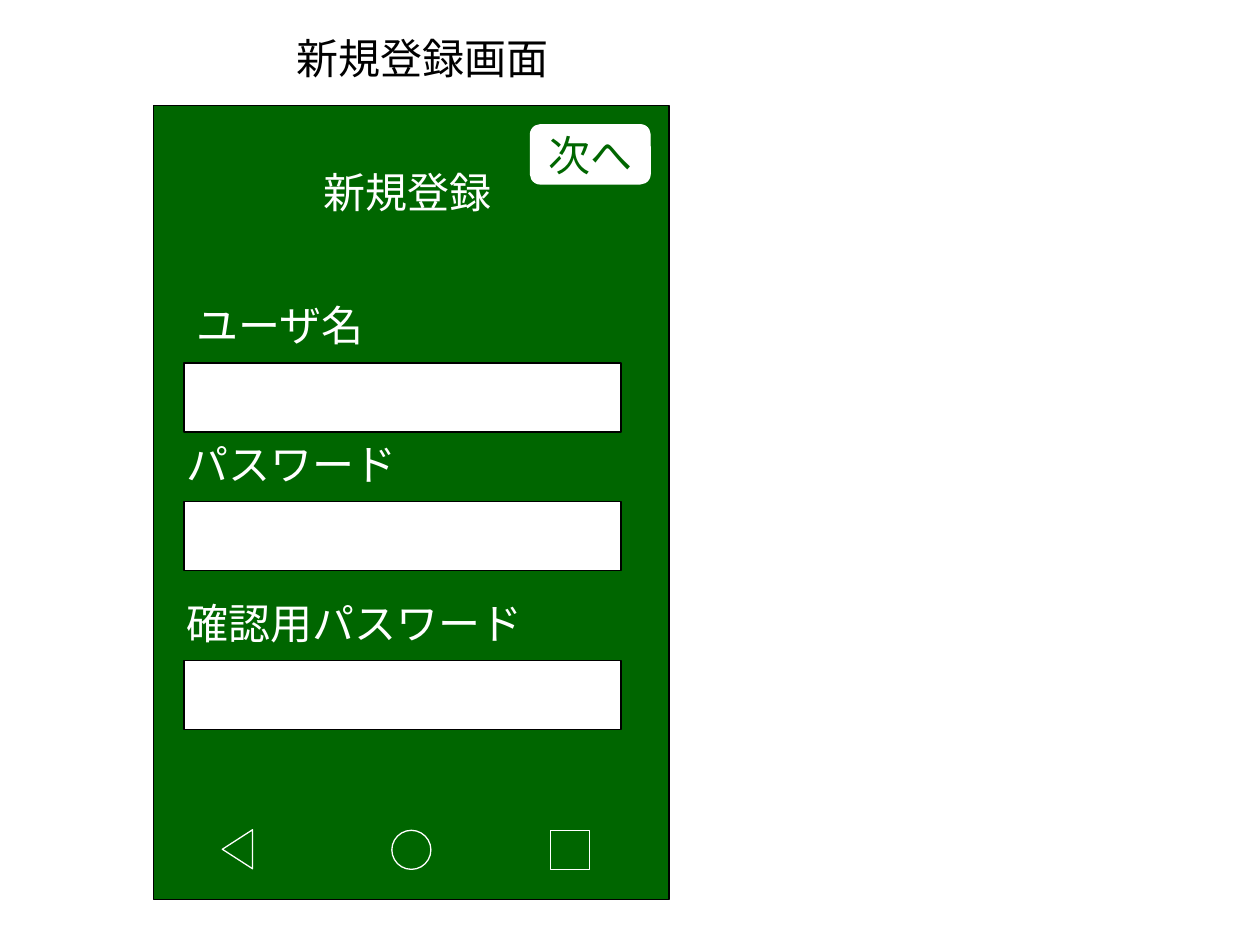
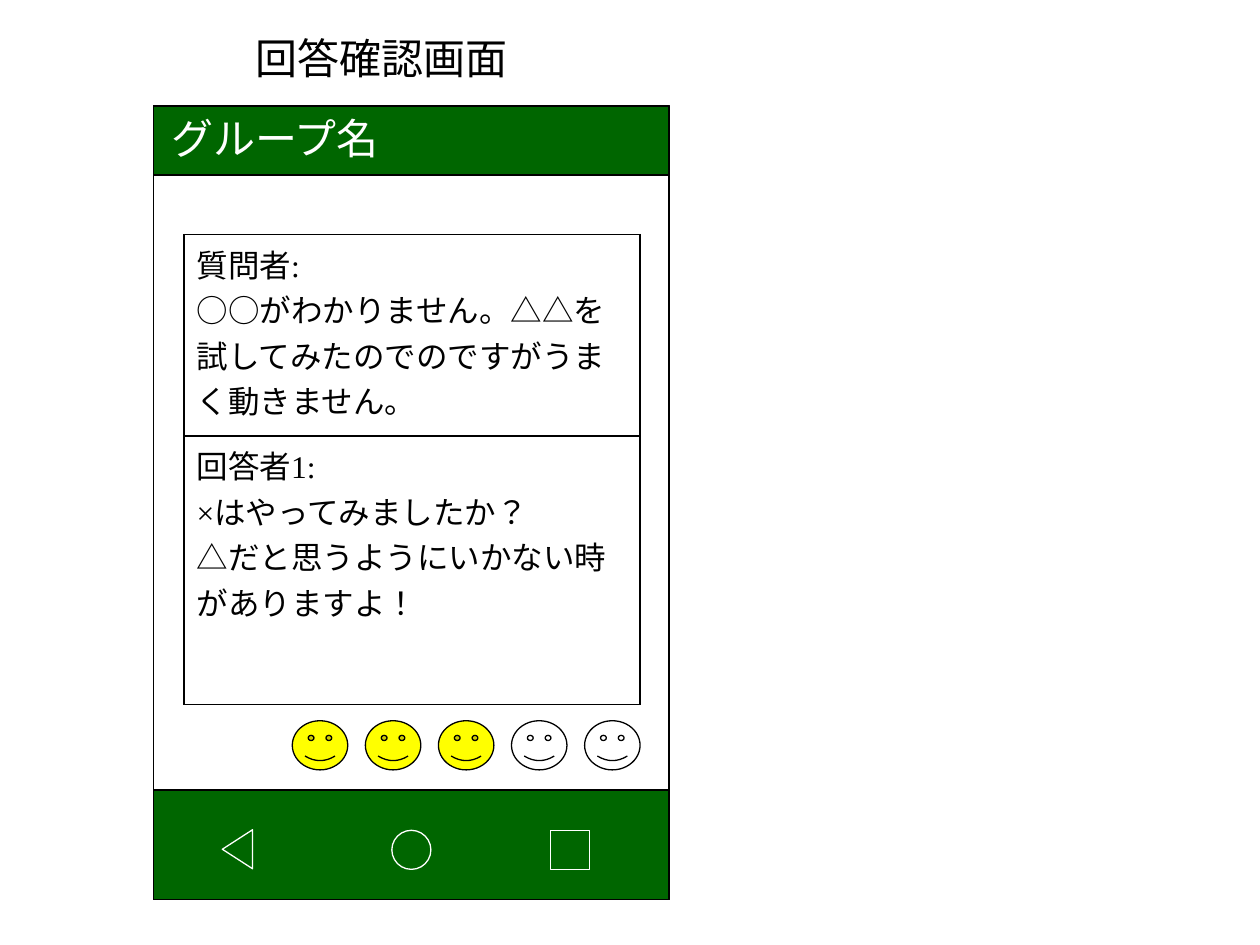
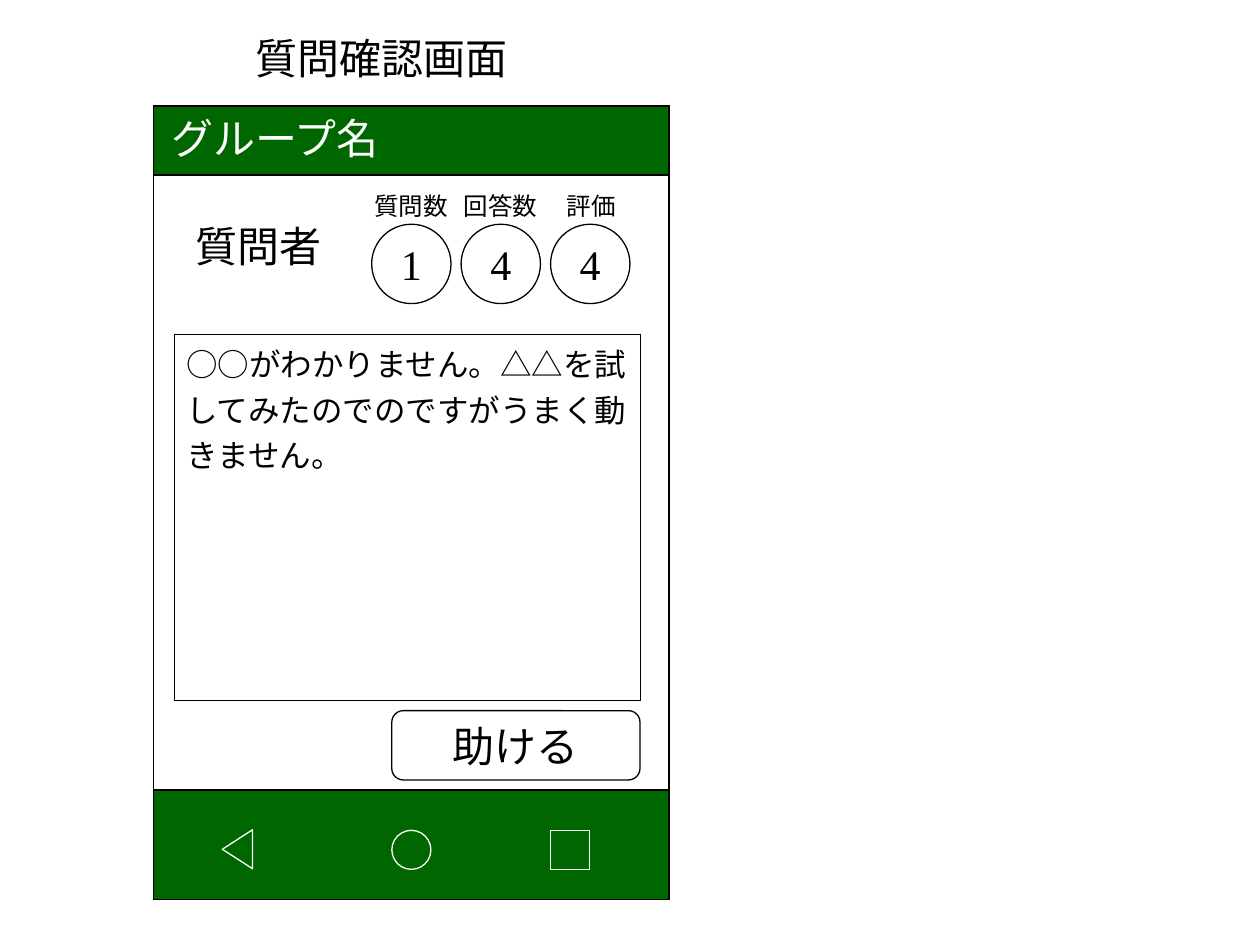
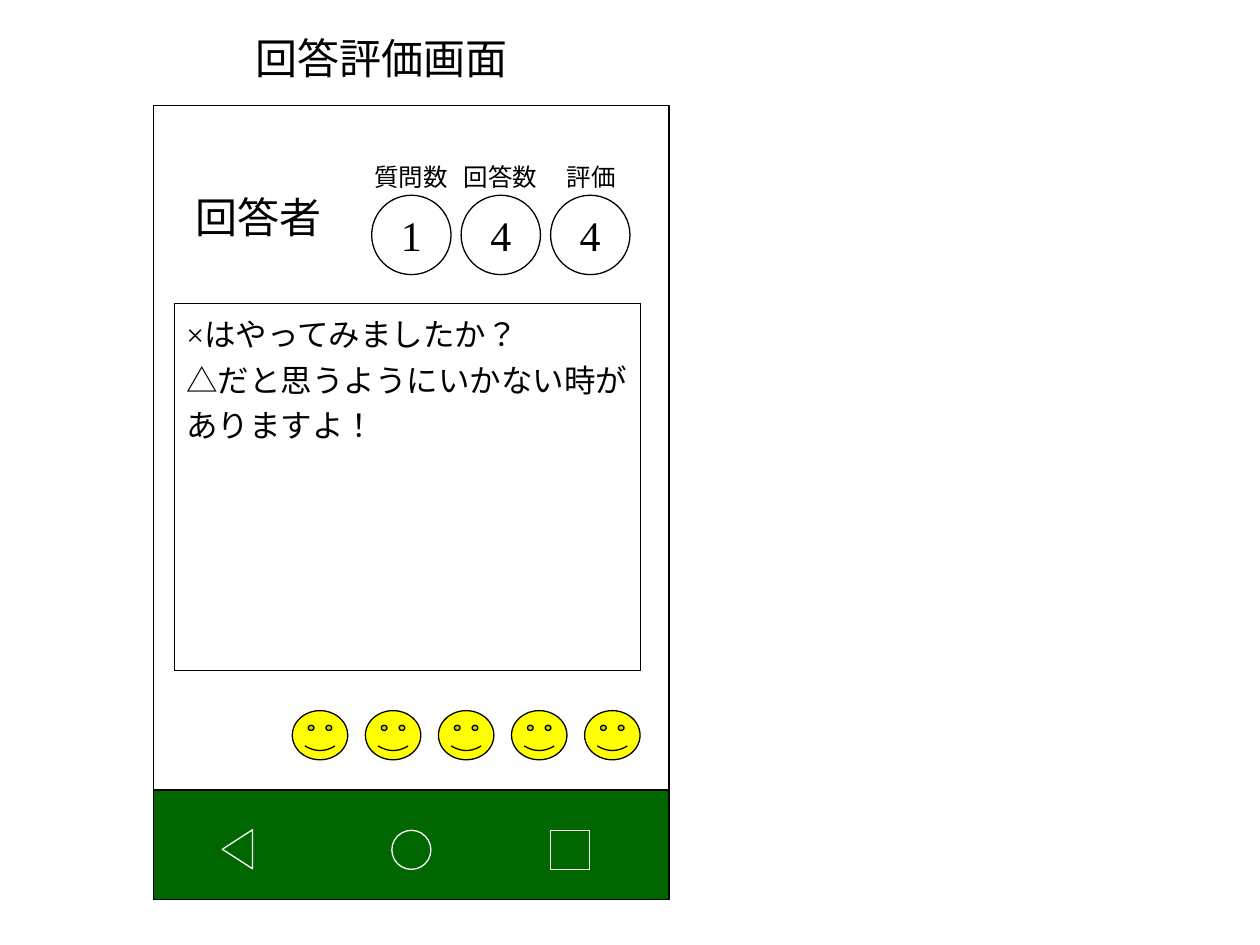
from dataclasses import dataclass
from typing import Any, Optional

import pptx
import pptx.dml.color
import pptx.enum.lang
import pptx.enum.shapes
import pptx.enum.text
import pptx.oxml.ns
import pptx.util
from lxml import etree

Inches = pptx.util.Inches
Pt = pptx.util.Pt
SHAPE = pptx.enum.shapes.MSO_SHAPE
ANCHOR = pptx.enum.text.MSO_ANCHOR
ALIGN = pptx.enum.text.PP_ALIGN
AUTO_SIZE = pptx.enum.text.MSO_AUTO_SIZE

FONT = {"name": "Times New Roman", "language_id": pptx.enum.lang.MSO_LANGUAGE_ID.JAPANESE}
COLORS = {"black": "000000", "white": "FFFFFF", "green": "006600", "yellow": "FFFF00"}
LINE_WIDTH = 0.75
TITLE_ONLY = 5

MARGINS = {
    "margin_left": Inches(0.1),
    "margin_top": Inches(0.05),
    "margin_right": Inches(0.1),
    "margin_bottom": Inches(0.05),
}
LABEL_FORMAT = {
    **MARGINS,
    "word_wrap": False,
    "auto_size": AUTO_SIZE.SHAPE_TO_FIT_TEXT,
    "vertical_anchor": ANCHOR.TOP,
}
BUTTON_FORMAT = {**MARGINS, "word_wrap": True, "vertical_anchor": ANCHOR.MIDDLE}


@dataclass(frozen=True)
class Box:
    left: float
    top: float
    width: float
    height: float

    def lengths(self) -> tuple:
        return tuple(Inches(value) for value in (self.left, self.top, self.width, self.height))


@dataclass(frozen=True)
class Figure:
    kind: Any
    box: Box
    fill: Optional[str] = None
    line: str = "black"
    rotation: float = 0
    text: str = ""
    text_color: str = "black"


@dataclass(frozen=True)
class Label:
    text: str
    box: Box
    color: str = "black"
    size: int = 24


@dataclass(frozen=True)
class Counter:
    caption: str
    value: str
    caption_left: float
    caption_width: float


SCREEN = Box(1.22, 0.84, 4.09, 6.3)
HEADER = Box(SCREEN.left, SCREEN.top, SCREEN.width, 0.55)
FOOTER = Box(SCREEN.left, 6.27, SCREEN.width, 0.87)
NAVIGATION = (
    Figure(SHAPE.ISOSCELES_TRIANGLE, Box(1.73, 6.62, 0.31, 0.24), line="white", rotation=270),
    Figure(SHAPE.OVAL, Box(3.11, 6.59, 0.31, 0.31), line="white"),
    Figure(SHAPE.RECTANGLE, Box(4.37, 6.59, 0.31, 0.31), line="white"),
)
COUNTERS = (
    Counter("質問数", "1", 2.87, 0.81),
    Counter("回答数", "4", 3.58, 0.81),
    Counter("評価", "4", 4.4, 0.61),
)
COUNTER_LEFT, COUNTER_PITCH, COUNTER_SIZE = 2.95, 0.71, 0.63
FACE_LEFT, FACE_PITCH, FACE_COUNT = 2.32, 0.58, 5
QUESTION = "○○がわかりません。△△を試してみたのでのですがうまく動きません。"
ANSWER = ("×はやってみましたか？", "△だと思うようにいかない時がありますよ！")


def apply_format(target: Any, values: dict) -> None:
    for name, value in values.items():
        setattr(target, name, value)


def rgb(color: str) -> Any:
    return pptx.dml.color.RGBColor.from_string(COLORS[color])


def write_text(text_frame: Any, lines: tuple, size: int, color: str, alignment: Any = ALIGN.LEFT) -> None:
    for index, line in enumerate(lines):
        paragraph = text_frame.add_paragraph() if index else text_frame.paragraphs[0]
        paragraph.alignment = alignment
        run = paragraph.add_run()
        run.text = line
        apply_format(run.font, {**FONT, "size": Pt(size)})
        run.font.color.rgb = rgb(color)


def fill_label(shape: Any, label: Label) -> None:
    left, top, width, height = label.box.lengths()
    apply_format(shape, {"left": left, "top": top, "width": width, "height": height})
    apply_format(shape.text_frame, LABEL_FORMAT)
    write_text(shape.text_frame, (label.text,), label.size, label.color)


def add_label(slide: Any, label: Label) -> None:
    fill_label(slide.shapes.add_textbox(*label.box.lengths()), label)


def add_figure(shapes: Any, figure: Figure) -> Any:
    shape = shapes.add_shape(figure.kind, *figure.box.lengths())
    shape.shadow.inherit = False
    shape.rotation = figure.rotation
    if figure.fill:
        shape.fill.solid()
        shape.fill.fore_color.rgb = rgb(figure.fill)
    else:
        shape.fill.background()
    shape.line.color.rgb = rgb(figure.line)
    shape.line.width = Pt(LINE_WIDTH)
    if figure.text:
        apply_format(shape.text_frame, BUTTON_FORMAT)
        write_text(shape.text_frame, (figure.text,), 24, figure.text_color, ALIGN.CENTER)
    return shape


def add_rectangle(slide: Any, box: Box, fill: Optional[str] = None) -> None:
    add_figure(slide.shapes, Figure(SHAPE.RECTANGLE, box, fill))


def add_titled_slide(presentation: Any, title: str, left: float = 1.93) -> Any:
    slide = presentation.slides.add_slide(presentation.slide_layouts[TITLE_ONLY])
    fill_label(slide.shapes.title, Label(title, Box(left, 0.21, 2.23, 0.5)))
    return slide


def add_navigation(slide: Any) -> None:
    group = slide.shapes.add_group_shape()
    for figure in NAVIGATION:
        add_figure(group.shapes, figure)


def add_group_screen(slide: Any) -> None:
    add_rectangle(slide, FOOTER, "green")
    add_rectangle(slide, HEADER, "green")
    add_rectangle(slide, SCREEN)
    bottom = Inches(HEADER.top + HEADER.height)
    connector = slide.shapes.add_connector(
        pptx.enum.shapes.MSO_CONNECTOR.STRAIGHT,
        Inches(HEADER.left), bottom, Inches(HEADER.left + HEADER.width), bottom,
    )
    connector.line.color.rgb = rgb("black")
    connector.line.width = Pt(LINE_WIDTH)
    etree.SubElement(connector._element.spPr, pptx.oxml.ns.qn("a:effectLst"))
    add_navigation(slide)
    add_label(slide, Label("グループ名", Box(1.26, 0.84, 1.89, 0.5), "white"))


def set_borders(cell: Any, widths: dict) -> None:
    properties = cell._tc.get_or_add_tcPr()
    for side, width in widths.items():
        border = etree.SubElement(properties, pptx.oxml.ns.qn(f"a:ln{side}"), w=str(Pt(width)))
        solid = etree.SubElement(border, pptx.oxml.ns.qn("a:solidFill"))
        etree.SubElement(solid, pptx.oxml.ns.qn("a:srgbClr"), val=COLORS["black"])


def add_message_table(slide: Any, left: float, top: float, width: float,
                      rows: tuple, side_width: float) -> None:
    box = Box(left, top, width, sum(height for height, _ in rows))
    table = slide.shapes.add_table(len(rows), 1, *box.lengths()).table
    apply_format(table, {"first_row": False, "horz_banding": False})
    borders = {"L": side_width, "R": side_width, "T": side_width, "B": LINE_WIDTH}
    for index, (height, lines) in enumerate(rows):
        table.rows[index].height = Inches(height)
        cell = table.cell(index, 0)
        apply_format(cell, MARGINS)
        set_borders(cell, borders)
        cell.fill.background()
        write_text(cell.text_frame, lines, 18, "black")


def add_person(slide: Any, name: str, top: float) -> None:
    add_label(slide, Label(name, Box(1.45, top - 0.08, 1.23, 0.5)))
    for index, counter in enumerate(COUNTERS):
        circle = Box(COUNTER_LEFT + index * COUNTER_PITCH, top, COUNTER_SIZE, COUNTER_SIZE)
        add_figure(slide.shapes, Figure(SHAPE.OVAL, circle, text=counter.value))
        caption = Box(counter.caption_left, top - 0.31, counter.caption_width, 0.34)
        add_label(slide, Label(counter.caption, caption, size=14))


def add_rating(slide: Any, top: float, score: int) -> None:
    for index in range(FACE_COUNT):
        box = Box(FACE_LEFT + index * FACE_PITCH, top, 0.44, 0.39)
        fill = "yellow" if index < score else None
        face = add_figure(slide.shapes, Figure(SHAPE.SMILEY_FACE, box, fill))
        face.adjustments[0] = 0.093


def build_registration(presentation: Any) -> None:
    slide = add_titled_slide(presentation, "新規登録画面", 2.25)
    add_rectangle(slide, SCREEN, "green")
    add_label(slide, Label("新規登録", Box(2.47, 1.27, 1.56, 0.5), "white"))
    add_figure(slide.shapes, Figure(
        SHAPE.ROUNDED_RECTANGLE, Box(4.21, 0.99, 0.95, 0.47), "white", "white",
        text="次へ", text_color="green",
    ))
    fields = (("ユーザ名", 1.46, 1.65, 2.88), ("パスワード", 1.38, 1.89, 3.98),
              ("確認用パスワード", 1.38, 2.89, 5.24))
    for text, left, width, field_top in fields:
        add_rectangle(slide, Box(1.46, field_top, 3.47, 0.55), "white")
        add_label(slide, Label(text, Box(left, field_top - 0.55, width, 0.5), "white"))
    add_navigation(slide)


def build_answer_view(presentation: Any) -> None:
    slide = add_titled_slide(presentation, "回答確認画面")
    add_group_screen(slide)
    rows = ((1.6, ("質問者:", QUESTION)), (2.13, ("回答者1:", *ANSWER)))
    add_message_table(slide, 1.46, 1.86, 3.62, rows, LINE_WIDTH)
    add_rating(slide, 5.72, 3)


def build_question_view(presentation: Any) -> None:
    slide = add_titled_slide(presentation, "質問確認画面")
    add_group_screen(slide)
    add_figure(slide.shapes, Figure(
        SHAPE.ROUNDED_RECTANGLE, Box(3.11, 5.64, 1.97, 0.55), text="助ける"))
    add_message_table(slide, 1.38, 2.65, 3.7, ((2.91, (QUESTION,)),), 0.45)
    add_person(slide, "質問者", 1.78)


def build_answer_rating(presentation: Any) -> None:
    slide = add_titled_slide(presentation, "回答評価画面")
    add_rectangle(slide, SCREEN)
    add_message_table(slide, 1.38, 2.41, 3.7, ((2.91, ANSWER),), 0.45)
    add_person(slide, "回答者", 1.55)
    add_rating(slide, 5.64, FACE_COUNT)
    add_rectangle(slide, FOOTER, "green")
    add_navigation(slide)


def main() -> None:
    presentation = pptx.Presentation()
    apply_format(presentation, {"slide_width": Inches(10), "slide_height": Inches(7.5)})
    for build in (build_registration, build_answer_view, build_question_view, build_answer_rating):
        build(presentation)
    presentation.save("out.pptx")


if __name__ == "__main__":
    main()
